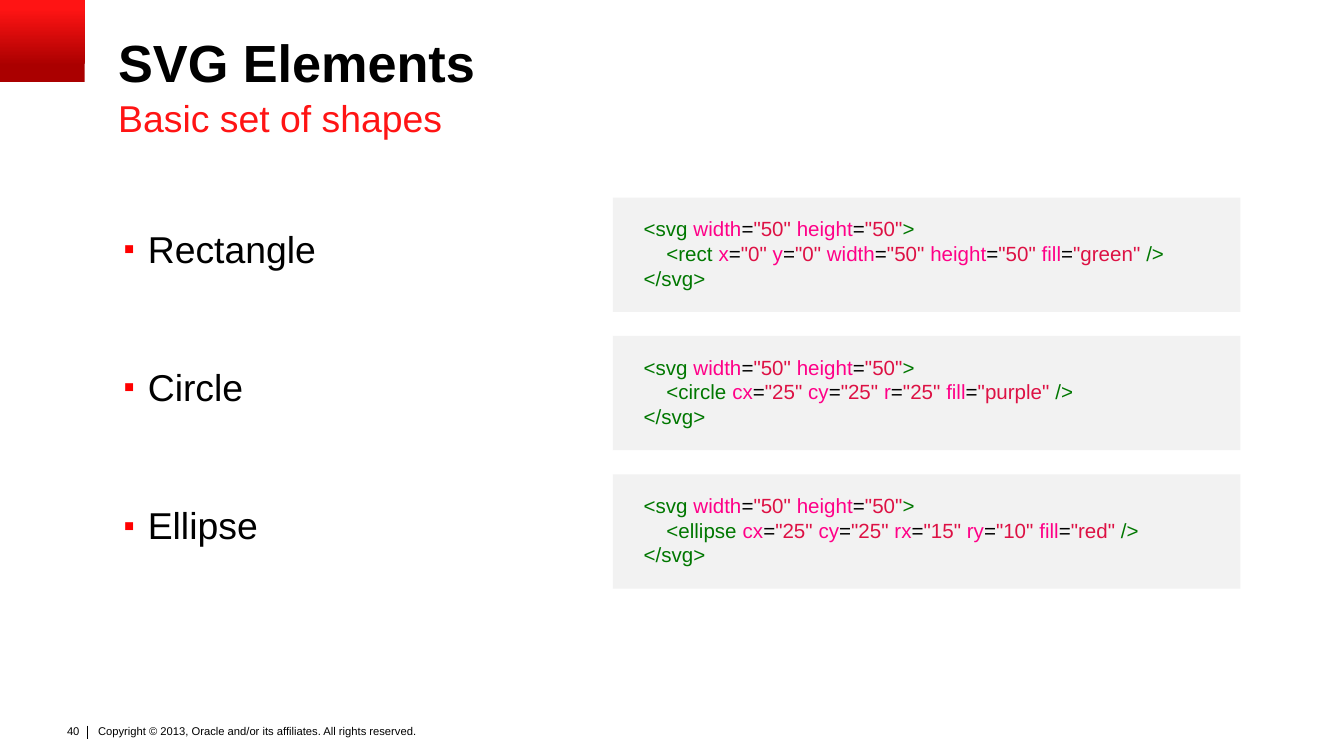
from lxml.etree import SubElement
from pptx import Presentation
from pptx.dml.color import RGBColor
from pptx.enum.shapes import MSO_CONNECTOR as Connector, MSO_SHAPE as Shape
from pptx.enum.text import MSO_ANCHOR as Anchor, PP_ALIGN as Align
from pptx.oxml.ns import qn
from pptx.util import Inches, Pt

COLORS = {
    "text": "000000",
    "accent": "FF1414",
    "accent_dark": "AA0000",
    "bullet": "FF0000",
    "panel": "F2F2F2",
    "tag": "007700",
    "attribute": "FF0088",
    "value": "DD1144",
}
EXAMPLES = [
    ("Rectangle", "rect", {"x": "0", "y": "0", "width": "50", "height": "50", "fill": "green"}),
    ("Circle", "circle", {"cx": "25", "cy": "25", "r": "25", "fill": "purple"}),
    ("Ellipse", "ellipse", {"cx": "25", "cy": "25", "rx": "15", "ry": "10", "fill": "red"}),
]


def rgb(name):
    """Return the named palette colour."""
    return RGBColor.from_string(COLORS[name])


def add_run(paragraph, text, size, color="text", bold=False):
    """Append one formatted run."""
    run = paragraph.add_run()
    run.text = text
    run.font.name = "Arial"
    run.font.size = Pt(size)
    run.font.bold = bold
    run.font.color.rgb = rgb(color)


def add_frame(slide, left, top, width, height, margins=(0, 0), wrap=True, anchor=Anchor.TOP):
    """Add a text box with horizontal and vertical margins and return its frame."""
    box = slide.shapes.add_textbox(Inches(left), Inches(top), Inches(width), Inches(height))
    frame = box.text_frame
    frame.word_wrap = wrap
    frame.vertical_anchor = anchor
    frame.margin_left = frame.margin_right = Inches(margins[0])
    frame.margin_top = frame.margin_bottom = Inches(margins[1])
    return frame


def add_block(slide, left, top, width, height):
    """Add a rectangle without outline or shadow."""
    block = slide.shapes.add_shape(
        Shape.RECTANGLE, Inches(left), Inches(top), Inches(width), Inches(height))
    block.shadow.inherit = False
    block.line.fill.background()
    return block


def add_corner(slide, left, top, width, height):
    """Draw the red gradient corner block."""
    fill = add_block(slide, left, top, width, height).fill
    fill.gradient()
    fill.gradient_angle = 90
    stops = ((0.2, "accent_dark"), (0.9, "accent"))
    for stop, (position, color) in zip(fill.gradient_stops, stops):
        stop.position = position
        stop.color.rgb = rgb(color)


def add_heading(slide, left, top, width):
    """Write the title and the subtitle below it."""
    title = add_frame(slide, left, top, width, 0.44, anchor=Anchor.MIDDLE).paragraphs[0]
    title.line_spacing = 0.9
    add_run(title, "SVG Elements", 28, bold=True)
    subtitle = add_frame(slide, left, top + 0.44, width, 0.33).paragraphs[0]
    add_run(subtitle, "Basic set of shapes", 20, "accent")


def add_bullet(slide, label, left, top, width, height):
    """Write one bulleted shape name."""
    paragraph = add_frame(slide, left, top, width, height).paragraphs[0]
    paragraph.space_after = Pt(6)
    props = paragraph._p.get_or_add_pPr()
    props.set("marL", str(Inches(0.25)))
    props.set("indent", str(Inches(-0.18)))
    SubElement(SubElement(props, qn("a:buClr")), qn("a:srgbClr"), val=COLORS["bullet"])
    SubElement(props, qn("a:buSzPct"), val="85000")
    SubElement(props, qn("a:buFont"), typeface="Arial")
    SubElement(props, qn("a:buChar"), char="▪")
    add_run(paragraph, label, 20)


def add_tag(paragraph, opening, attributes, closing):
    """Write one highlighted SVG tag."""
    add_run(paragraph, f"{opening} ", 11, "tag")
    last = list(attributes)[-1]
    for name, value in attributes.items():
        gap = "" if name == last and closing == ">" else " "
        add_run(paragraph, name, 11, "attribute")
        add_run(paragraph, "=", 11)
        add_run(paragraph, f'"{value}"{gap}', 11, "value")
    add_run(paragraph, closing, 11, "tag")


def add_code(slide, element, attributes, left, top, width, height):
    """Draw the code panel of one SVG element."""
    panel = add_block(slide, left, top, width, height)
    panel.fill.solid()
    panel.fill.fore_color.rgb = rgb("panel")
    code = add_frame(slide, left + 0.13, top + 0.09, width - 0.38, 0.66, (0.1, 0.05))
    add_tag(code.paragraphs[0], "<svg", {"width": "50", "height": "50"}, ">")
    add_tag(code.add_paragraph(), f"    <{element}", attributes, "/>")
    add_run(code.add_paragraph(), "</svg>", 11, "tag")


def add_examples(slide, left, top, pitch):
    """Stack the rows that pair a shape name with its code."""
    for row, (label, element, attributes) in enumerate(EXAMPLES):
        row_top = top + row * pitch
        add_bullet(slide, label, left, row_top + 0.21, 1.63, 0.53)
        add_code(slide, element, attributes, left + 3.71, row_top, 4.67, 0.85)


def add_footer(slide, left, top):
    """Write the page number, divider and copyright line."""
    number = add_frame(slide, left, top, 0.3, 0.2, (0.1, 0.05), wrap=False).paragraphs[0]
    number.alignment = Align.RIGHT
    add_run(number, "40", 6)
    divider_x = Inches(left + 0.26)
    divider = slide.shapes.add_connector(
        Connector.STRAIGHT, divider_x, Inches(top + 0.06), divider_x, Inches(top + 0.16))
    divider.line.color.rgb = rgb("text")
    divider.line.width = Pt(0.5)
    SubElement(divider._element.spPr, qn("a:effectLst"))
    notice = add_frame(slide, left + 0.3, top + 0.03, 2.74, 0.24, (0.04, 0.02)).paragraphs[0]
    add_run(notice, "Copyright © 2013, Oracle and/or its affiliates. All rights reserved.", 6)


def main():
    """Build and save the slide."""
    deck = Presentation()
    deck.slide_width = Inches(10)
    deck.slide_height = deck.slide_width * 9 // 16
    slide = deck.slides.add_slide(deck.slide_layouts[6])
    add_corner(slide, 0, 0, 0.63, 0.61)
    add_heading(slide, 0.88, 0.27, 9)
    add_examples(slide, 0.85, 1.47, 1.03)
    add_footer(slide, 0.39, 5.34)
    deck.save("out.pptx")


if __name__ == "__main__":
    main()
